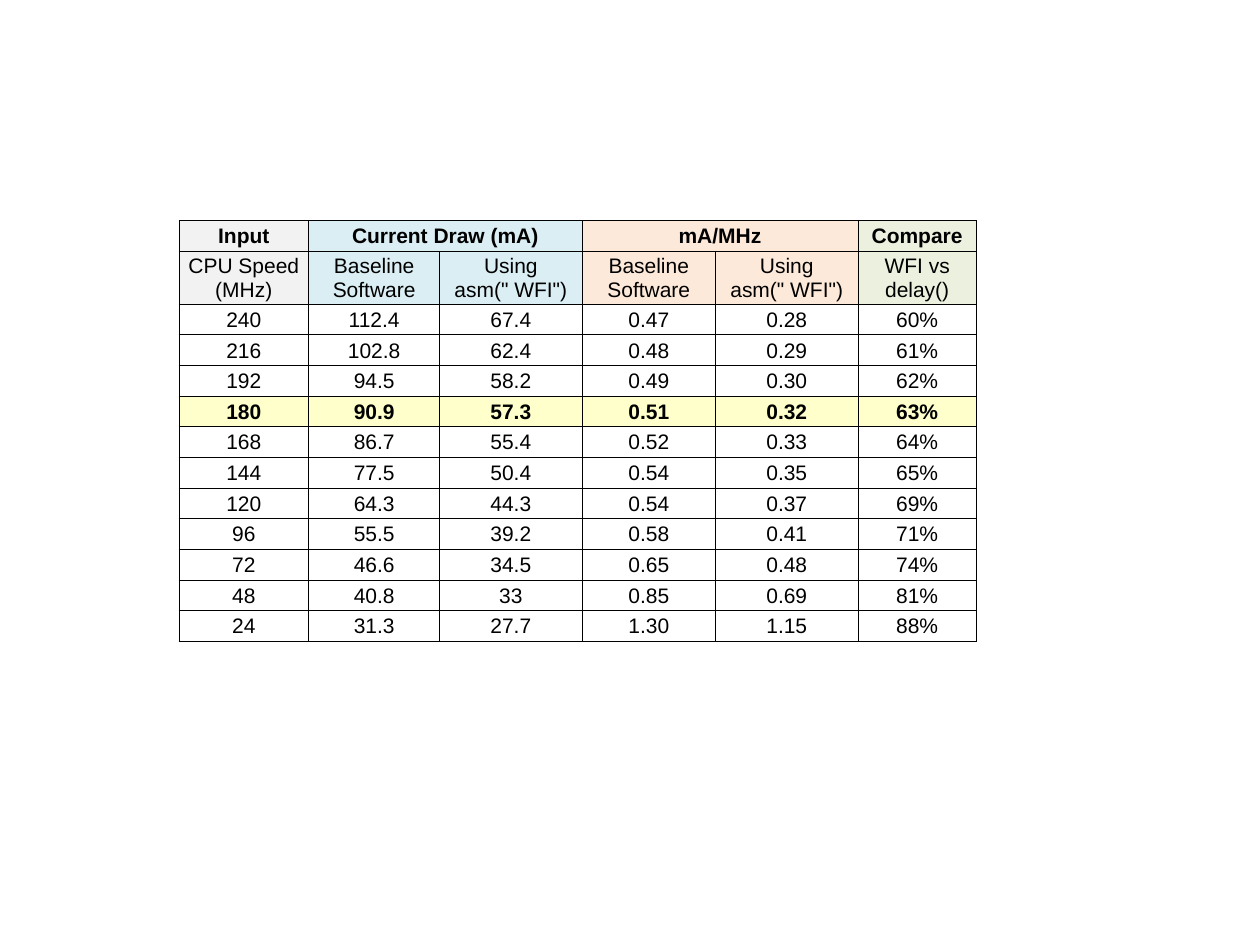
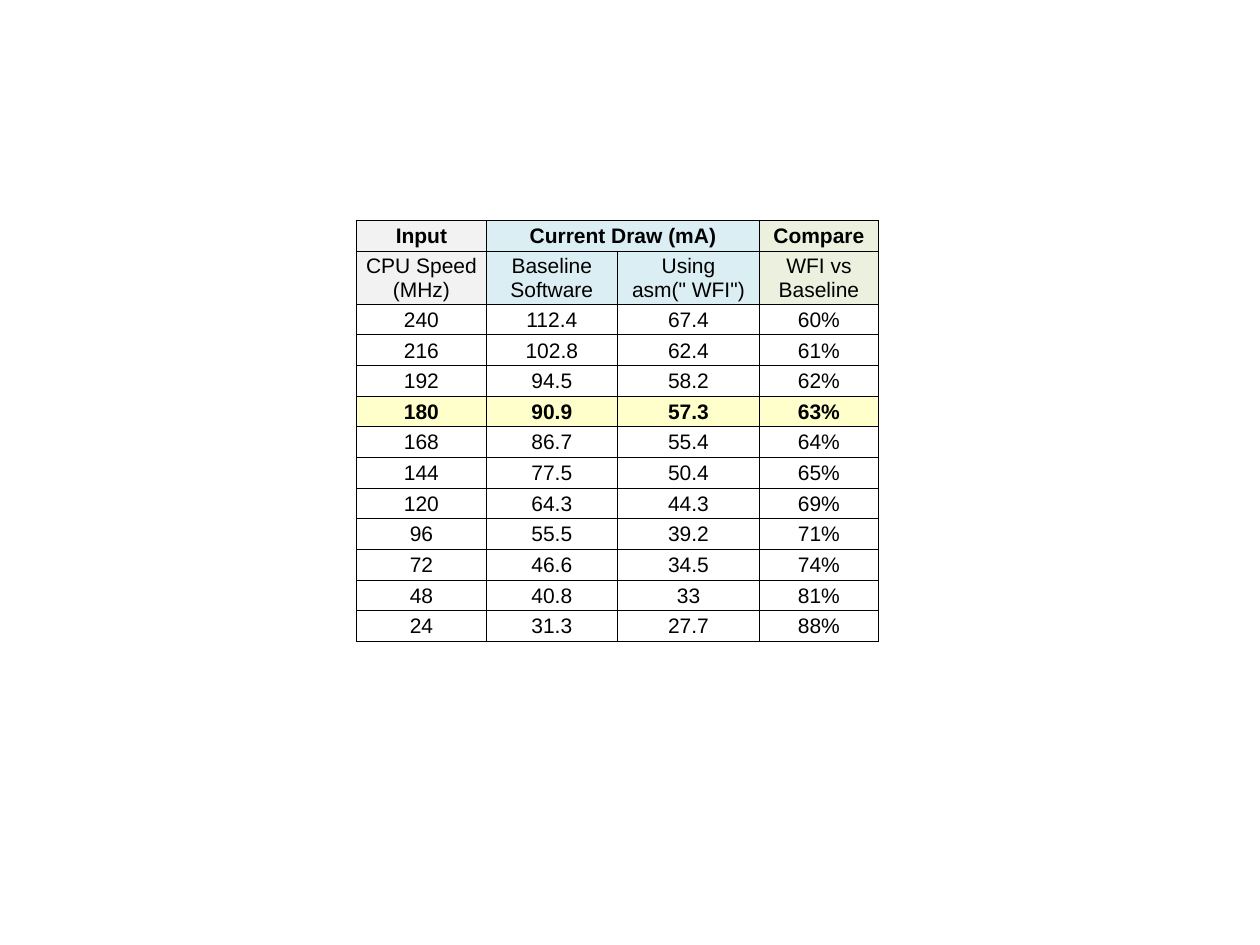
from lxml import etree
from pptx import Presentation
from pptx import util as u
from pptx.dml.color import RGBColor
from pptx.enum import text
from pptx.oxml.ns import qn

COLORS = {
    "input": "F2F2F2",
    "current": "DAEEF3",
    "ratio": "FDE9D9",
    "compare": "EBF1DE",
    "highlight": "FFFFCC",
    "body": "FFFFFF",
    "ink": "000000",
}
BORDER_PT = 0.5
TABLE_TOP, TABLE_HEIGHT, SUBHEAD_HEIGHT = 1.75, 3.34, 0.42
HIGHLIGHT_SPEED = "180"
CELL_FORMAT = {
    "margin_left": u.Inches(0.01),
    "margin_right": u.Inches(0.01),
    "margin_top": u.Inches(0.01),
    "margin_bottom": u.Inches(0),
    "vertical_anchor": text.MSO_ANCHOR.MIDDLE,
}
FONT_FORMAT = {"name": "Arial", "size": u.Pt(12)}

SPEEDS = "240 216 192 180 168 144 120 96 72 48 24".split()
BASELINE_MA = "112.4 102.8 94.5 90.9 86.7 77.5 64.3 55.5 46.6 40.8 31.3".split()
WFI_MA = "67.4 62.4 58.2 57.3 55.4 50.4 44.3 39.2 34.5 33 27.7".split()
BASELINE_RATIO = "0.47 0.48 0.49 0.51 0.52 0.54 0.54 0.58 0.65 0.85 1.30".split()
WFI_RATIO = "0.28 0.29 0.30 0.32 0.33 0.35 0.37 0.41 0.48 0.69 1.15".split()
COMPARE = "60% 61% 62% 63% 64% 65% 69% 71% 74% 81% 88%".split()

BASELINE_HEAD = "Baseline\nSoftware"
WFI_HEAD = 'Using\vasm(" WFI")'  # \v breaks the line inside one paragraph

# A group is (heading, colour, columns); a column is (subheading, width, values).
INPUT = ("Input", "input", [("CPU Speed (MHz)", 1.03, SPEEDS)])
CURRENT = ("Current Draw (mA)", "current",
           [(BASELINE_HEAD, 1.04, BASELINE_MA), (WFI_HEAD, 1.13, WFI_MA)])
RATIO = ("mA/MHz", "ratio",
         [(BASELINE_HEAD, 1.06, BASELINE_RATIO), (WFI_HEAD, 1.13, WFI_RATIO)])


def compare_group(subheading):
    return ("Compare", "compare", [(subheading, 0.94, COMPARE)])


def set_borders(cell):
    """Draw all four sides; the lines must come before the fill in tcPr."""
    tc_pr = cell._tc.get_or_add_tcPr()
    for i, side in enumerate(("lnL", "lnR", "lnT", "lnB")):
        ln = etree.Element(qn(f"a:{side}"), w=str(u.Pt(BORDER_PT)))
        fill = etree.SubElement(ln, qn("a:solidFill"))
        etree.SubElement(fill, qn("a:srgbClr"), val=COLORS["ink"])
        tc_pr.insert(i, ln)


def fill_cell(cell, content, color, bold=False):
    cell.text = content
    for name, value in CELL_FORMAT.items():
        setattr(cell, name, value)
    cell.fill.solid()
    cell.fill.fore_color.rgb = RGBColor.from_string(COLORS[color])
    for p in cell.text_frame.paragraphs:
        p.alignment = text.PP_ALIGN.CENTER
        for r in p.runs:
            for name, value in FONT_FORMAT.items():
                setattr(r.font, name, value)
            r.font.bold = bold
            r.font.color.rgb = RGBColor.from_string(COLORS["ink"])
    set_borders(cell)


def fill_column(table, col, column, color):
    subheading, width, values = column
    table.columns[col].width = u.Inches(width)
    fill_cell(table.cell(1, col), subheading, color)
    for row, (speed, value) in enumerate(zip(SPEEDS, values), start=2):
        marked = speed == HIGHLIGHT_SPEED
        fill_cell(table.cell(row, col), value, "highlight" if marked else "body", marked)


def add_power_table(s, left, groups):
    columns = [column for _, _, group in groups for column in group]
    n_rows = len(SPEEDS) + 2
    width = sum(column[1] for column in columns)
    table = s.shapes.add_table(n_rows, len(columns), u.Inches(left), u.Inches(TABLE_TOP),
                               u.Inches(width), u.Inches(TABLE_HEIGHT)).table
    table.first_row = table.horz_banding = False
    row_height = (TABLE_HEIGHT - SUBHEAD_HEIGHT) / (n_rows - 1)
    for i, row in enumerate(table.rows):
        row.height = u.Inches(SUBHEAD_HEIGHT if i == 1 else row_height)

    first = 0
    for heading, color, group in groups:
        last = first + len(group) - 1
        for col, column in enumerate(group, start=first):
            fill_cell(table.cell(0, col), heading if col == first else "", color, True)
            fill_column(table, col, column, color)
        if last > first:
            table.cell(0, first).merge(table.cell(0, last))
        first = last + 1


def main():
    prs = Presentation()
    prs.slide_width, prs.slide_height = u.Inches(10), u.Inches(7.5)
    tables = [
        (1.42, [INPUT, CURRENT, RATIO, compare_group("WFI vs delay()")]),
        (2.83, [INPUT, CURRENT, compare_group("WFI vs Baseline")]),
    ]
    for left, groups in tables:
        s = prs.slides.add_slide(prs.slide_layouts[6])
        add_power_table(s, left, groups)
    prs.save("out.pptx")


if __name__ == "__main__":
    main()
